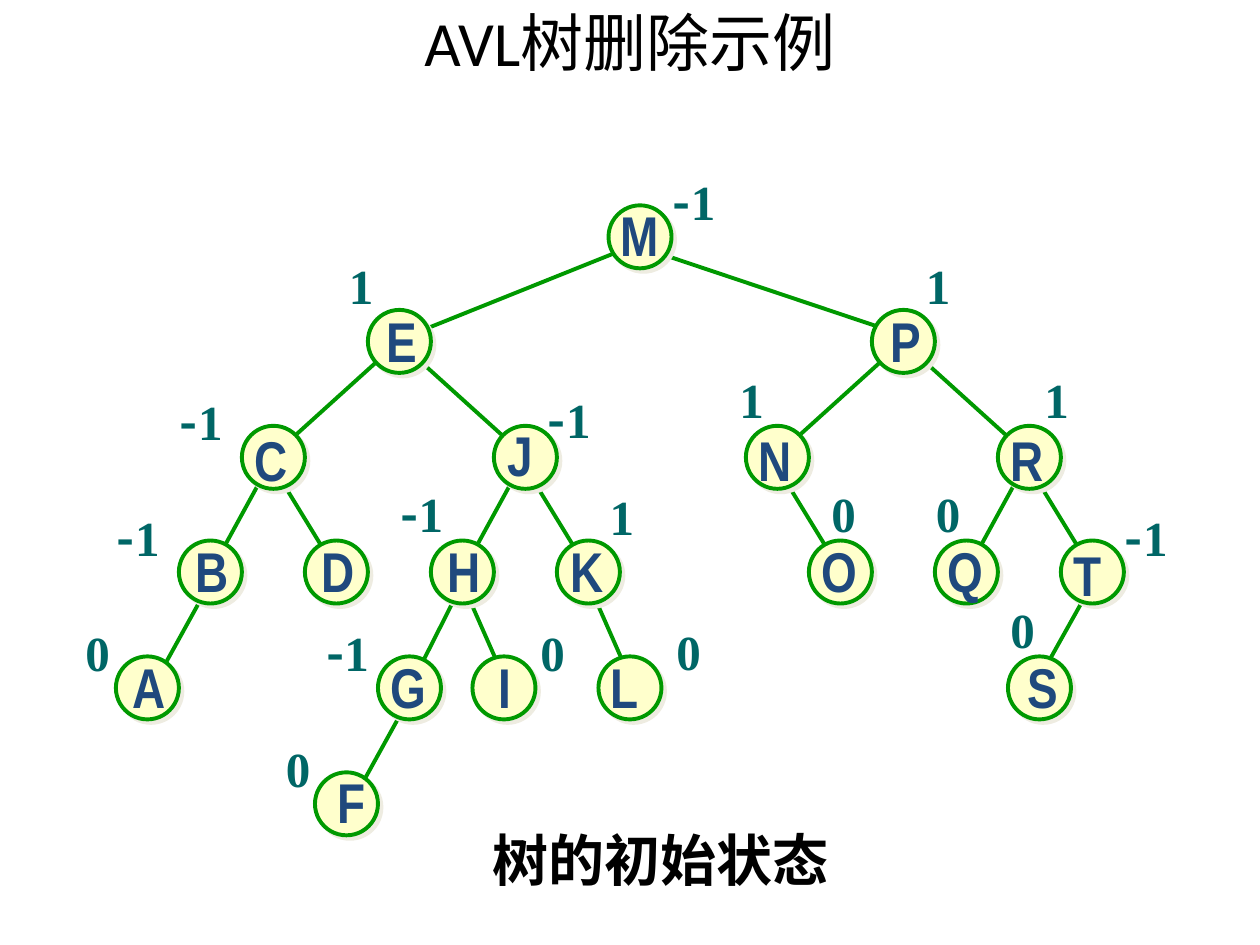
from collections import namedtuple

from lxml.etree import SubElement
from pptx import Presentation
from pptx.dml.color import RGBColor
from pptx.enum.shapes import MSO_CONNECTOR, MSO_SHAPE
from pptx.enum.text import MSO_ANCHOR, MSO_AUTO_SIZE, PP_ALIGN
from pptx.oxml.ns import qn
from pptx.util import Inches, Pt

COLORS = {"edge": "009900", "node": "FFFFCC", "shade": "EEECE1",
          "key": "1F497D", "factor": "006666", "text": "000000"}
CJK = "Noto Sans CJK SC"
SIZE = 0.5
ROWS = [0, 0.83, 1.75, 2.66, 3.58, 4.5]
WIDTHS = {"E": 0.44, "P": 0.44, "S": 0.44, "F": 0.42, "L": 0.42, "T": 0.42,
          "G": 0.48, "O": 0.48, "Q": 0.48, "I": 0.3, "J": 0.4, "M": 0.51}
JOINS = {"root left": (0.17, 0.33, 0.41, 0.17),
         "root right": (0.25, 0.33, 0.16, 0.17),
         "wide left": (0.16, 0.33, 0.33, 0.16),
         "wide right": (0.33, 0.33, 0.16, 0.16),
         "left": (0.16, 0.41, 0.25, 0.25),
         "right": (0.25, 0.33, 0.16, 0.09),
         "low left": (0.25, 0.33, 0.33, 0.17),
         "low": (0.25, 0.34, 0.25, 0.17),
         "deep": (0.25, 0.34, 0.25, 0.25)}
Node = namedtuple("Node", "key x row shift factor offset parent join")
NODES = [Node(*row) for row in [
    ("M", 3.91, 0, (0, -0.09), "-1", (0.41, -0.32), None, None),
    ("E", 2, 1, (0.05, -0.08), "1", (-0.25, -0.48), "M", "root left"),
    ("P", 6, 1, (0.05, -0.08), "1", (0.33, -0.48), "M", "root right"),
    ("C", 1, 2, (0, -0.05), "-1", (-0.59, -0.32), "E", "wide left"),
    ("J", 3, 2, (0.01, -0.09), "-1", (0.33, -0.34), "E", "wide right"),
    ("N", 5, 2, (0, -0.05), "1", (-0.15, -0.5), "P", "wide left"),
    ("R", 7, 2, (0, -0.05), "1", (0.27, -0.5), "P", "wide right"),
    ("B", 0.5, 3, (0.03, -0.08), "-1", (-0.59, -0.31), "C", "left"),
    ("D", 1.5, 3, (0.03, -0.08), None, None, "C", "right"),
    ("H", 2.5, 3, (0.03, -0.08), "-1", (-0.34, -0.5), "J", "left"),
    ("K", 3.5, 3, (0.01, -0.08), "1", (0.32, -0.48), "J", "right"),
    ("O", 5.5, 3, (0, -0.08), "0", (0.08, -0.5), "N", "right"),
    ("Q", 6.5, 3, (0, -0.08), "0", (-0.09, -0.5), "R", "left"),
    ("T", 7.5, 3, (0, -0.05), "-1", (0.41, -0.31), "R", "right"),
    ("A", 0, 4, (0.03, -0.08), "0", (-0.34, -0.32), "B", "low left"),
    ("G", 2.08, 4, (0, -0.08), "-1", (-0.51, -0.32), "H", "deep"),
    ("I", 2.83, 4, (0.11, -0.08), "0", (0.44, -0.32), "H", "low"),
    ("L", 3.83, 4, (0, -0.08), "0", (0.52, -0.33), "K", "low"),
    ("S", 7.08, 4, (0.06, -0.08), "0", (-0.08, -0.5), "T", "low"),
    ("F", 1.58, 5, (0.08, -0.09), "0", (-0.33, -0.32), "G", "low left"),
]]


def paint(name):
    """Return the named colour."""
    return RGBColor.from_string(COLORS[name])


def write(slide, text, box, *, size, font, color, bold=True, wrap=False,
          align=PP_ALIGN.LEFT, anchor=MSO_ANCHOR.TOP):
    """Add a text box, with any minus sign in the CJK font."""
    frame = slide.shapes.add_textbox(*map(Inches, box)).text_frame
    frame.word_wrap = wrap
    frame.auto_size = MSO_AUTO_SIZE.NONE if wrap else MSO_AUTO_SIZE.SHAPE_TO_FIT_TEXT
    frame.vertical_anchor = anchor
    para = frame.paragraphs[0]
    para.alignment = align
    parts = ["-", text[1:]] if text.startswith("-") else [text]
    for part in parts:
        run = para.add_run()
        run.text = part
        run.font.size = Pt(size)
        run.font.bold = bold
        run.font.name = CJK if part == "-" else font
        run.font.color.rgb = paint(color)
        SubElement(run.font._element, qn("a:ea"), typeface=CJK)


def draw_edge(slide, start, end):
    """Draw a tree edge between two points."""
    line = slide.shapes.add_connector(MSO_CONNECTOR.STRAIGHT,
                                      *map(Inches, start + end))
    line.line.color.rgb = paint("edge")
    line.line.width = Pt(2.25)
    SubElement(line._element.spPr, qn("a:effectLst"))


def draw_node(slide, x, y):
    """Draw a node circle with a hard shadow."""
    disc = slide.shapes.add_shape(MSO_SHAPE.OVAL, Inches(x), Inches(y),
                                  Inches(SIZE), Inches(SIZE))
    disc.fill.solid()
    disc.fill.fore_color.rgb = paint("node")
    disc.line.color.rgb = paint("edge")
    disc.line.width = Pt(2.25)
    disc.shadow.inherit = False
    effects = disc._element.spPr.find(qn("a:effectLst"))
    shade = SubElement(effects, qn("a:outerShdw"), dist=str(Pt(2.8)),
                       dir="2700000", algn="ctr", rotWithShape="0")
    SubElement(shade, qn("a:srgbClr"), val=COLORS["shade"])


def draw_tree(slide, left, top):
    """Draw edges, circles, keys and balance factors from a top left corner."""
    spots = {node.key: (left + node.x, top + ROWS[node.row]) for node in NODES}
    for node in NODES:
        if node.parent:
            px, py = spots[node.parent]
            cx, cy = spots[node.key]
            dx, dy, ex, ey = JOINS[node.join]
            draw_edge(slide, (px + dx, py + dy), (cx + ex, cy + ey))
    for spot in spots.values():
        draw_node(slide, *spot)
    for node in NODES:
        x, y = spots[node.key]
        dx, dy = node.shift
        write(slide, node.key, (x + dx, y + dy, WIDTHS.get(node.key, 0.47), 0.63),
              size=32, font="Arial Narrow", color="key")
        if node.factor:
            dx, dy = node.offset
            width = 0.59 if node.factor == "-1" else 0.4
            write(slide, node.factor, (x + dx, y + dy, width, 0.57),
                  size=28, font="Times New Roman", color="factor")


def main():
    """Build the slide and save it."""
    deck = Presentation()
    deck.slide_width, deck.slide_height = Inches(10), Inches(7.5)
    slide = deck.slides.add_slide(deck.slide_layouts[6])
    draw_tree(slide, 0.92, 1.63)
    write(slide, "树的初始状态", (3.81, 6.5, 2.88, 0.63), size=32,
          font="Times New Roman", color="text")
    write(slide, "AVL树删除示例", (0.5, -0.03, 9, 0.71), size=36,
          font="Calibri", color="text", bold=False, wrap=True,
          align=PP_ALIGN.CENTER, anchor=MSO_ANCHOR.MIDDLE)
    deck.save("out.pptx")


if __name__ == "__main__":
    main()
